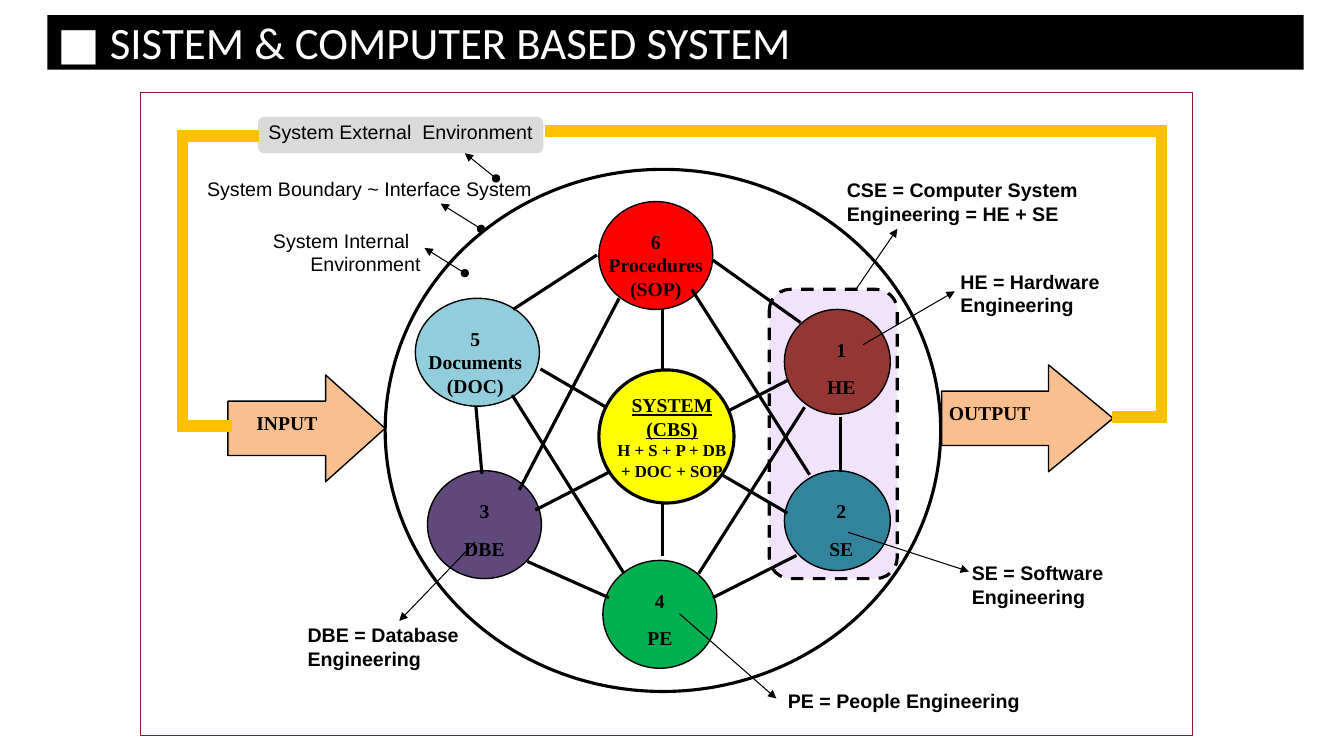
"""Build the slide on systems and computer based systems."""
from lxml.etree import SubElement as Sub
from pptx import Presentation
from pptx.dml.color import RGBColor as RGB
from pptx.enum.dml import MSO_LINE as Dash
from pptx.enum.shapes import MSO_CONNECTOR as Conn, MSO_SHAPE as Kind
from pptx.enum.text import MSO_ANCHOR as Anchor, MSO_AUTO_SIZE as Fit, PP_ALIGN as Align
from pptx.oxml.ns import qn
from pptx.util import Inches, Pt

HEX = {"black": "000000", "white": "FFFFFF", "wine": "871631", "grey": "DADADA",
       "lilac": "F2E3FC", "red": "FF0000", "green": "00B050", "sky": "92CDDC",
       "brown": "943634", "plum": "5F497A", "teal": "31849B", "yellow": "FFFF00",
       "peach": "FABF8F", "gold": "FFC000"}
INK = {name: RGB.from_string(code) for name, code in HEX.items()}
EDGE = Inches(0.01)
FRAME = {"word_wrap": True, "auto_size": Fit.NONE, "vertical_anchor": Anchor.TOP,
         "margin_left": EDGE, "margin_right": EDGE, "margin_top": EDGE, "margin_bottom": EDGE}
SANS = {"name": "Arial", "size": Pt(14)}
BOLD = SANS | {"bold": True}
SERIF = BOLD | {"name": "Times New Roman"}

deck = Presentation()
deck.slide_width, deck.slide_height = Inches(13.33), Inches(7.5)
slide = deck.slides.add_slide(deck.slide_layouts[5])
shapes = slide.shapes


def draw(shape, fill=None, line=None, width=1):
    """Paint a shape with the named fill and outline."""
    shape.shadow.inherit = False
    if fill:
        shape.fill.solid()
        shape.fill.fore_color.rgb = INK[fill]
    else:
        shape.fill.background()
    if line:
        shape.line.color.rgb = INK[line]
        shape.line.width = Pt(width)
    else:
        shape.line.fill.background()
    return shape


def put(shape, lines, font, align=Align.CENTER, after=0, ink="black", frame=FRAME):
    """Write lines of text into a shape, one paragraph each."""
    body = shape.text_frame
    for key, val in frame.items():
        setattr(body, key, val)
    body.text = "\n".join(lines)
    for para in body.paragraphs:
        para.alignment, para.space_after = align, Pt(after)
        for key, val in font.items():
            setattr(para.runs[0].font, key, val)
        para.runs[0].font.color.rgb = INK[ink]
    return body.paragraphs


title = draw(shapes.title, "black")
for key, val in {"left": 0.47, "top": 0.15, "width": 12.46, "height": 0.54}.items():
    setattr(title, key, Inches(val))
HEAD = FRAME | {"vertical_anchor": Anchor.BOTTOM, "margin_left": Inches(0.1),
                "margin_right": Inches(0.1), "margin_top": Inches(0.05), "margin_bottom": 0}
head = put(title, ["■ SISTEM & COMPUTER BASED SYSTEM"],
           {"name": "Calibri", "size": Pt(32)}, Align.LEFT, 0, "white", HEAD)
head[0].line_spacing = 0.9

for kind, box, fill, line, width in [
        (Kind.RECTANGLE, (1.39, 0.91, 10.43, 6.38), "white", "wine", 0.25),
        (Kind.OVAL, (3.82, 1.68, 5.51, 5.18), "white", "black", 2.25),
        (Kind.ROUNDED_RECTANGLE, (7.63, 2.87, 1.27, 2.87), "lilac", "black", 2.25)]:
    group = draw(shapes.add_shape(kind, *map(Inches, box)), fill, line, width)
group.line.dash_style = Dash.DASH

for box, lines, font, align, after, fill in [
        ((2.56, 1.16, 2.83, 0.36), ["System External  Environment"], SANS, Align.CENTER, 10, "grey"),
        ((1.91, 1.72, 3.4, 0.43), ["System Boundary ~ Interface System"], SANS, Align.RIGHT, 10, None),
        ((8.35, 1.72, 2.63, 0.81), ["CSE = Computer System Engineering = HE + SE"],
         BOLD, Align.LEFT, 10, None),
        ((9.47, 2.62, 1.55, 0.92), ["HE = Hardware Engineering"], BOLD, Align.LEFT, 10, None),
        ((9.59, 5.52, 1.69, 0.79), ["SE = Software Engineering"], BOLD, Align.LEFT, 10, None),
        ((7.78, 6.8, 2.71, 0.49), ["PE = People Engineering"], BOLD, Align.LEFT, 10, None),
        ((3, 6.13, 2.24, 0.84), ["DBE = Database Engineering"], BOLD, Align.LEFT, 10, None),
        ((2.35, 2.23, 1.87, 0.58), ["System Internal", "Environment"], SANS, Align.LEFT, 0, None)]:
    label = shapes.add_shape(Kind.ROUNDED_RECTANGLE, *map(Inches, box))
    paras = put(draw(label, fill), lines, font, align, after)
for para, dent in zip(paras, (0.32, 0.69)):
    para._p.get_or_add_pPr().set("marL", str(Inches(dent)))

for left, top, width, high, fill, start, span, lines in [
        (5.94, 2, 1.13, 1.07, "red", 5.94, 1.13, ["6", "Procedures", "(SOP)"]),
        (5.98, 5.56, 1.13, 1.07, "green", 5.98, 1.13, ["4", "PE"]),
        (4.12, 2.96, 1.23, 1.07, "sky", 4.03, 1.37, ["5", "Documents", "(DOC)"]),
        (7.78, 3.07, 1.05, 1.04, "brown", 7.78, 1.13, ["1", "HE"]),
        (4.24, 4.67, 1.13, 1.07, "plum", 4.24, 1.13, ["3", "DBE"]),
        (7.78, 4.67, 1.05, 0.99, "teal", 7.78, 1.13, ["2", "SE"])]:
    draw(shapes.add_shape(Kind.OVAL, *map(Inches, (left, top, width, high))), fill, "black")
    note = shapes.add_textbox(*map(Inches, (start, top + 0.27, span, 0.54)))
    put(note, lines, SERIF, after=10 if len(lines) == 2 else 0)

LINKS = [(4.72, 4.03, 4.78, 4.7), (8.34, 4.14, 8.34, 4.68), (5.23, 5.57, 6.04, 5.93),
         (7.07, 2.58, 7.94, 3.2), (7.07, 5.93, 7.9, 5.51), (5.09, 3.07, 5.92, 2.53),
         (5.36, 3.66, 7.81, 5.09), (5.31, 5.06, 7.82, 3.77), (6.57, 5.52, 6.57, 3.07),
         (5.15, 4.86, 6.14, 2.96), (8.03, 4.71, 6.86, 2.87), (6.93, 5.69, 7.98, 4.04),
         (6.19, 5.69, 5.08, 3.92)]
NOTES = [(8.49, 2.87, 8.9, 2.27), (8.56, 3.42, 9.47, 2.89), (8.41, 5.28, 9.61, 5.67),
         (6.74, 6.09, 7.7, 6.93), (4.71, 5.38, 3.96, 6.16)]
DOTS = [(4.92, 1.77, 4.61, 1.52), (4.77, 2.27, 4.37, 2.02), (4.61, 2.71, 4.21, 2.46)]
for rows, width, ends in [(LINKS, 2.25, {}), (NOTES, 0.75, {"tailEnd": "triangle"}),
                          (DOTS, 0.75, {"headEnd": "oval", "tailEnd": "triangle"})]:
    for row in rows:
        link = shapes.add_connector(Conn.STRAIGHT, *map(Inches, row))
        link.line.color.rgb, link.line.width = INK["black"], Pt(width)
        prop = link._element.spPr
        for end, form in ends.items():
            Sub(prop.find(qn("a:ln")), qn("a:" + end), type=form)
        Sub(prop, qn("a:effectLst"))

draw(shapes.add_shape(Kind.OVAL, *map(Inches, (5.94, 3.67, 1.34, 1.32))), "yellow", "black", 2.25)
core = shapes.add_textbox(*map(Inches, (5.98, 3.89, 1.37, 0.89)))
paras = put(core, ["SYSTEM", "(CBS)", "H + S + P + DB", "+ DOC + SOP"], SERIF | {"underline": True})
for para in paras[2:]:
    para.runs[0].font.size, para.runs[0].font.underline = Pt(12), False

for left, neck, tip, mid, box, word, align in [
        (2.26, 3.23, 3.82, 4.25, (2.35, 4.07, 0.99, 0.36), "INPUT", Align.CENTER),
        (9.34, 10.4, 11.04, 4.15, (9.4, 3.97, 1.28, 0.32), "OUTPUT", Align.JUSTIFY)]:
    dots = [(left, -0.27), (neck, -0.27), (neck, -0.53), (tip, 0),
            (neck, 0.53), (neck, 0.27), (left, 0.27)]
    dots = [(Inches(x), Inches(mid + dy)) for x, dy in dots]
    arrow = shapes.build_freeform(*dots[0])
    arrow.add_line_segments(dots[1:])
    draw(arrow.convert_to_shape(), "peach", "black")
    tag = draw(shapes.add_shape(Kind.RECTANGLE, *map(Inches, box)), "peach")
    put(tag, [word], SERIF, align, 10)

for box in [(1.76, 1.3, 0.8, 0.1), (1.76, 1.31, 0.1, 2.96), (1.76, 4.18, 0.53, 0.1),
            (11.04, 4.09, 0.53, 0.1), (11.47, 1.3, 0.1, 2.84), (5.41, 1.25, 6.16, 0.1)]:
    draw(shapes.add_shape(Kind.RECTANGLE, *map(Inches, box)), "gold", "gold", 1.25)

deck.save("out.pptx")
